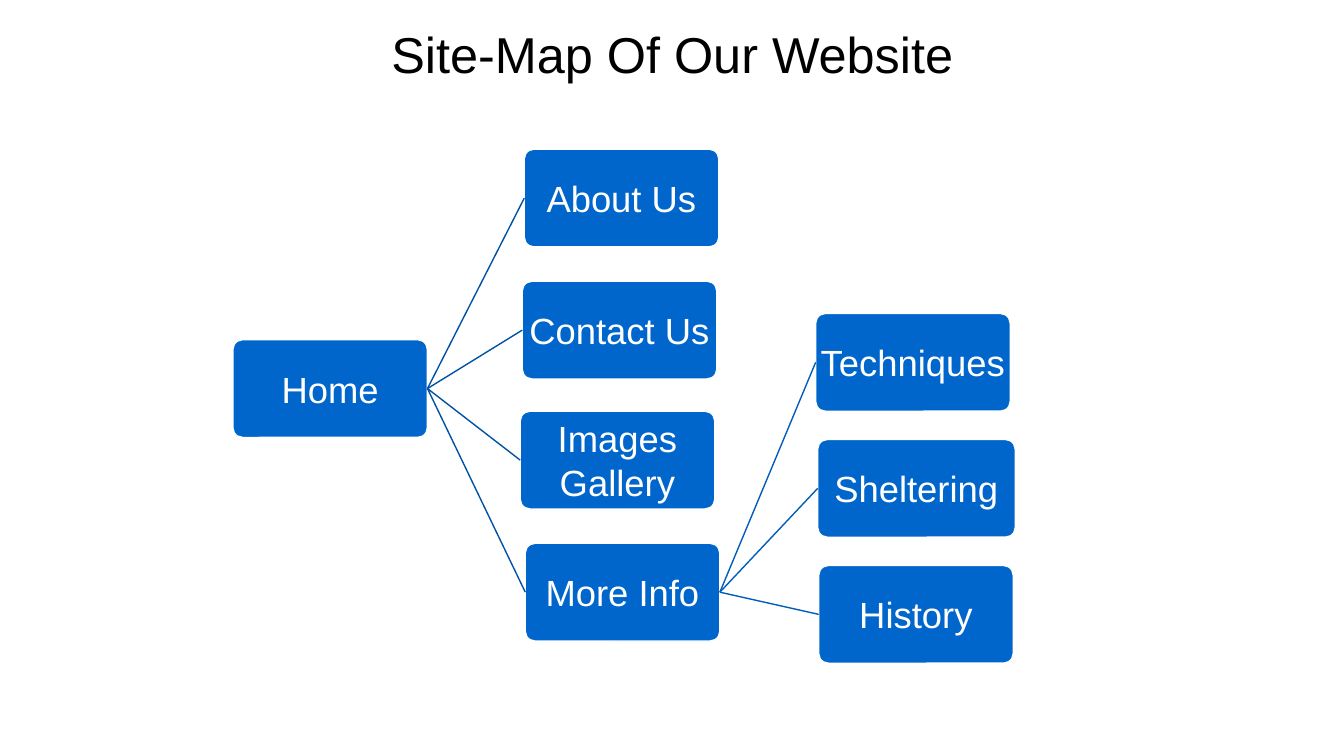
"""Build a site-map slide with linked page boxes."""
from dataclasses import dataclass

from lxml import etree
from pptx import Presentation
from pptx import util as u
from pptx.dml.color import RGBColor
from pptx.enum import shapes, text
from pptx.oxml import ns


@dataclass(frozen=True)
class Theme:
    font: str = "Arial"
    title_size: int = 36
    box_size: int = 26
    ink: str = "000000"
    white: str = "FFFFFF"
    box: str = "0066CC"
    first_link: str = "0052A3"
    second_link: str = "005DB9"


THEME = Theme()
BOX_WIDTH, BOX_HEIGHT = 1.93, 0.97
LEFT_SITE, RIGHT_SITE = 1, 3

PAGES = {
    "Home": (2.31, 3.37, BOX_WIDTH),
    "About Us": (5.2, 1.48, BOX_WIDTH),
    "Contact Us": (5.18, 2.79, BOX_WIDTH),
    "Images Gallery": (5.16, 4.08, BOX_WIDTH),
    "More Info": (5.21, 5.39, BOX_WIDTH),
    "Techniques": (8.09, 3.11, BOX_WIDTH),
    "Sheltering": (8.11, 4.36, 1.96),
    "History": (8.12, 5.61, BOX_WIDTH),
}

BRANCHES = (
    ("Home", THEME.first_link,
     ("About Us", "Contact Us", "Images Gallery", "More Info")),
    ("More Info", THEME.second_link,
     ("Techniques", "Sheltering", "History")),
)


def write_text(shape, words, size, color, inset):
    frame = shape.text_frame
    settings = {
        "word_wrap": True,
        "vertical_anchor": text.MSO_ANCHOR.MIDDLE,
        "margin_left": u.Inches(inset),
        "margin_right": u.Inches(inset),
        "margin_top": u.Inches(inset),
        "margin_bottom": u.Inches(inset),
    }
    for name, value in settings.items():
        setattr(frame, name, value)
    para = frame.paragraphs[0]
    para.alignment = text.PP_ALIGN.CENTER
    span = para.add_run()
    span.text = words
    for name, value in {"name": THEME.font, "size": u.Pt(size)}.items():
        setattr(span.font, name, value)
    span.font.color.rgb = RGBColor.from_string(color)


def set_line(line, color):
    line.color.rgb = RGBColor.from_string(color)
    line.width = u.Pt(1)


def add_title(page, words):
    box = page.shapes.add_textbox(
        u.Inches(0.67), u.Inches(0.21), u.Inches(12), u.Inches(0.64))
    write_text(box, words, THEME.title_size, THEME.ink, 0)


def add_page_box(page, words, left, top, width):
    box = page.shapes.add_shape(
        shapes.MSO_SHAPE.ROUNDED_RECTANGLE, u.Inches(left), u.Inches(top),
        u.Inches(width), u.Inches(BOX_HEIGHT))
    box.adjustments[0] = 0.1
    box.shadow.inherit = False
    box.fill.solid()
    box.fill.fore_color.rgb = RGBColor.from_string(THEME.box)
    set_line(box.line, THEME.white)
    write_text(box, words, THEME.box_size, THEME.white, 0.01)
    return box


def add_link(page, parent, child, color):
    link = page.shapes.add_connector(shapes.MSO_CONNECTOR.STRAIGHT, 0, 0, 0, 0)
    link.begin_connect(parent, RIGHT_SITE)
    link.end_connect(child, LEFT_SITE)
    set_line(link.line, color)
    etree.SubElement(link.element.spPr, ns.qn("a:effectLst"))


def main():
    deck = Presentation()
    deck.slide_width, deck.slide_height = u.Inches(13.33), u.Inches(7.5)
    page = deck.slides.add_slide(deck.slide_layouts[6])
    add_title(page, "Site-Map Of Our Website")
    boxes = {words: add_page_box(page, words, *place)
             for words, place in PAGES.items()}
    for parent, color, children in BRANCHES:
        for child in children:
            add_link(page, boxes[parent], boxes[child], color)
    deck.save("out.pptx")


if __name__ == "__main__":
    main()
